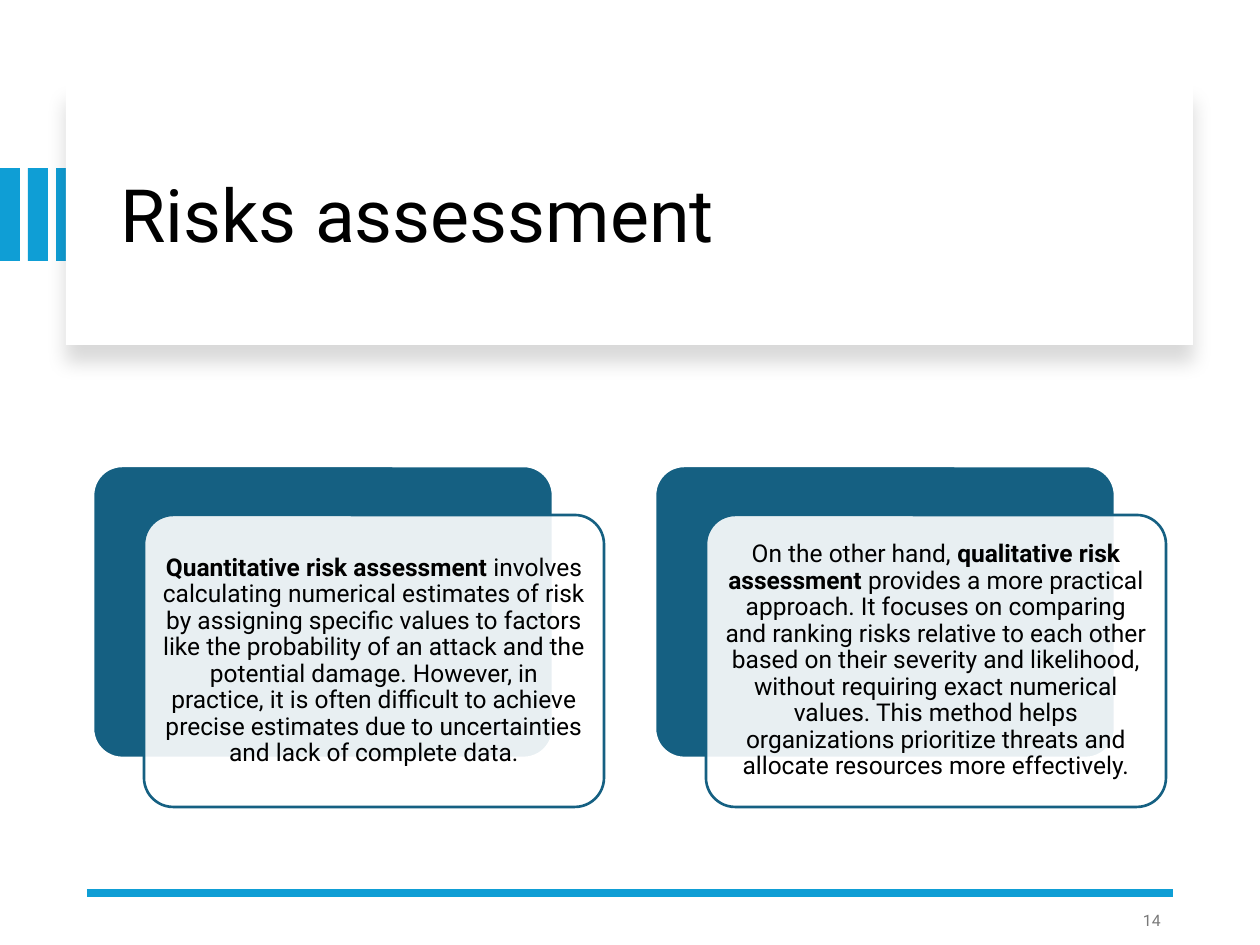
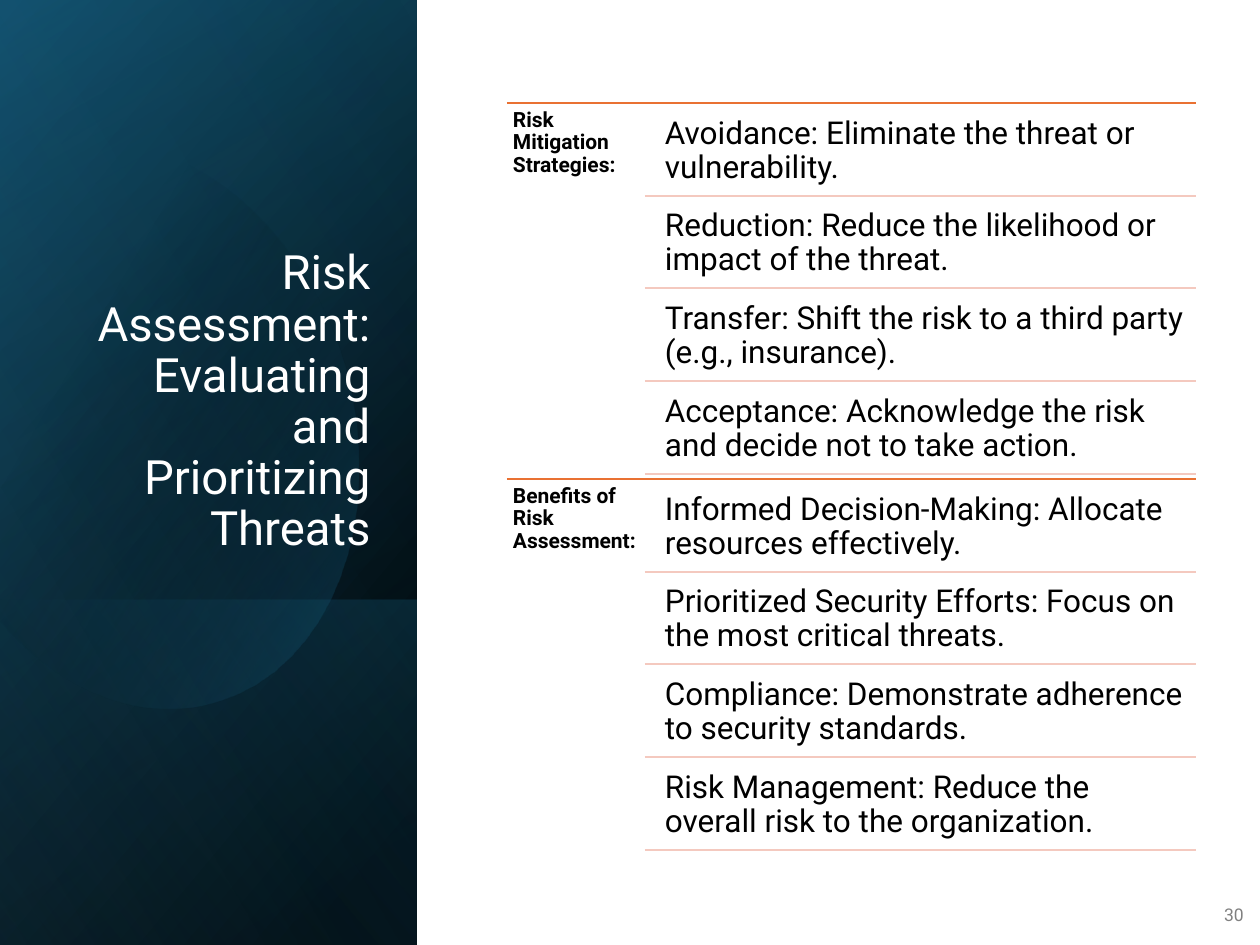
from lxml import etree
from pptx import Presentation
from pptx.dml.color import RGBColor
from pptx.enum.shapes import MSO_CONNECTOR, MSO_SHAPE
from pptx.enum.text import MSO_ANCHOR, PP_ALIGN
from pptx.oxml import parse_xml
from pptx.oxml.ns import nsdecls, qn
from pptx.util import Pt

RECT, ROUND = MSO_SHAPE.RECTANGLE, MSO_SHAPE.ROUNDED_RECTANGLE
STRAIGHT = MSO_CONNECTOR.STRAIGHT
TOP, MID, LOW = MSO_ANCHOR.TOP, MSO_ANCHOR.MIDDLE, MSO_ANCHOR.BOTTOM
LEFT, MIDST, RIGHT = PP_ALIGN.LEFT, PP_ALIGN.CENTER, PP_ALIGN.RIGHT

SCALE = 914400 / 126
WIDE, HIGH = 1260, 945
FONT = "Roboto"
BLACK, WHITE = "000000", "FFFFFF"
BLUE, TEAL = "0F9ED5", "156082"
ORANGE, PINK = "E97132", "F4C9BF"

HEAD = {"size": 42}
SIDE = {"size": 27, "color": WHITE}
CARD = {"size": 14}
LABEL = {"size": 12, "bold": True}
ITEM = {"size": 18}

CARDS = [
    [("Quantitative risk assessment", True),
     (" involves calculating numerical estimates of risk by assigning specific "
      "values to factors like the probability of an attack and the potential "
      "damage. However, in practice, it is often difficult to achieve precise "
      "estimates due to uncertainties and lack of complete data.", False)],
    [("On the other hand, ", False),
     ("qualitative risk assessment", True),
     (" provides a more practical approach. It focuses on comparing and ranking "
      "risks relative to each other based on their severity and likelihood, "
      "without requiring exact numerical values. This method helps organizations "
      "prioritize threats and allocate resources more effectively.", False)],
]
GROUPS = [
    ("Risk Mitigation Strategies:", [
        "Avoidance: Eliminate the threat or vulnerability.",
        "Reduction: Reduce the likelihood or impact of the threat.",
        "Transfer: Shift the risk to a third party (e.g., insurance).",
        "Acceptance: Acknowledge the risk and decide not to take action."]),
    ("Benefits of Risk Assessment:", [
        "Informed Decision-Making: Allocate resources effectively.",
        "Prioritized Security Efforts: Focus on the most critical threats.",
        "Compliance: Demonstrate adherence to security standards.",
        "Risk Management: Reduce the overall risk to the organization."]),
]

# Each gradient: angle, then stops of position, colour and opacity in percent.
BASE = (50, [(8, BLACK, 100), (100, "104862", 100)])
VEIL = (30, [(0, BLACK, 0), (99, TEAL, 46)])
FOOT = (130, [(2, TEAL, 29), (100, BLACK, 30)])
GLOW = (120, [(0, BLACK, 0), (99, "46B1E1", 11)])
DISC = (30, [(29, BLACK, 0), (100, TEAL, 43)])
CURVES = [
    [(121, 144), (215, 154), (307, 242), (344, 365)],
    [(344, 365), (387, 519), (330, 669), (215, 702)],
    [(215, 702), (144, 723), (67, 693), (9, 630)],
    [(0, 620), (0, 500), (0, 300), (0, 176)],
    [(0, 176), (16, 164), (34, 154), (57, 149)],
    [(57, 149), (79, 142), (100, 141), (121, 144)],
]


def px(n):
    return round(n * SCALE)


def emu(box):
    return [px(n) for n in box]


def rgb(code):
    return RGBColor.from_string(code)


def shape(slide, box, fill, kind=RECT, line=None, clear=None):
    item = slide.shapes.add_shape(kind, *emu(box))
    item.shadow.inherit = False
    item.fill.solid()
    item.fill.fore_color.rgb = rgb(fill)
    if clear:
        tint = item.element.spPr.find(qn("a:solidFill"))[0]
        etree.SubElement(tint, qn("a:alpha"), val=str(clear * 1000))
    if line:
        item.line.color.rgb = rgb(line)
        item.line.width = Pt(1.5)
    else:
        item.line.fill.background()
    return item


def rule(slide, start, end, y, color, width):
    item = slide.shapes.add_connector(STRAIGHT, *emu((start, y, end, y)))
    item.line.color.rgb = rgb(color)
    item.line.width = Pt(width)
    etree.SubElement(item.element.spPr, qn("a:effectLst"))


def write(item, runs, form, align=LEFT, anchor=TOP, inset=None, space=0.9):
    """Fill a shape with one paragraph of (text, bold) runs."""
    frame = item.text_frame
    setup = {"word_wrap": True, "vertical_anchor": anchor}
    if inset is not None:
        for side in ("left", "right", "top", "bottom"):
            setup["margin_" + side] = px(inset)
    for name, value in setup.items():
        setattr(frame, name, value)
    para = frame.paragraphs[0]
    para.alignment, para.line_spacing = align, space
    for text, bold in runs:
        run = para.add_run()
        run.text = text
        look = {"name": FONT, "bold": bold, **form}
        look["size"] = Pt(form["size"])
        color = look.pop("color", BLACK)
        for name, value in look.items():
            setattr(run.font, name, value)
        run.font.color.rgb = rgb(color)


def label(slide, box, text, form, **opts):
    write(slide.shapes.add_textbox(*emu(box)), [(text, False)], form, **opts)


def title(slide, box, text, form, **opts):
    item = slide.shapes.title
    item.element.getparent().append(item.element)  # bring to the front
    for name, value in zip(("left", "top", "width", "height"), emu(box)):
        setattr(item, name, value)
    write(item, [(text, False)], form, **opts)


def number(slide, box, text, size, color):
    label(slide, box, text, {"size": size, "color": color},
          align=RIGHT, anchor=MID, space=1.0)


def blend(item, grad):
    """Replace the fill of a shape with a gradient that may be transparent."""
    angle, stops = grad
    marks = "".join(
        f'<a:gs pos="{pos * 1000}"><a:srgbClr val="{color}">'
        f'<a:alpha val="{alpha * 1000}"/></a:srgbClr></a:gs>'
        for pos, color, alpha in stops)
    fill = parse_xml(
        f'<a:gradFill {nsdecls("a")} rotWithShape="1"><a:gsLst>{marks}</a:gsLst>'
        f'<a:lin ang="{angle * 60000}" scaled="0"/></a:gradFill>')
    props = item.element.spPr
    props.replace(props.find(qn("a:solidFill")), fill)


def layer(slide, box, grad):
    """Cover a box with a mirrored rectangle turned by 90 degrees."""
    x, y, w, h = box
    item = shape(slide, (x + (w - h) / 2, y + (h - w) / 2, h, w), WHITE)
    item.rotation = 90
    item.element.spPr.find(qn("a:xfrm")).set("flipH", "1")
    blend(item, grad)


def bezier(curve, steps=16):
    for i in range(steps + 1):
        t = i / steps
        u = 1 - t
        parts = (u ** 3, 3 * u * u * t, 3 * u * t * t, t ** 3)
        yield tuple(px(sum(k * p[axis] for k, p in zip(parts, curve)))
                    for axis in (0, 1))


def disc(slide):
    dots = [dot for curve in CURVES for dot in bezier(curve)]
    form = slide.shapes.build_freeform(*dots[0], scale=1.0)
    form.add_line_segments(dots[1:], close=True)
    item = form.convert_to_shape()
    item.shadow.inherit = False
    item.fill.solid()
    item.line.fill.background()
    blend(item, DISC)


def banner(slide, box, text):
    x, y, w, h = box
    for i in range(3):
        shape(slide, (28 * i, y + 84, 20, 93), BLUE)
    item = shape(slide, box, WHITE)
    effects = item.element.spPr.find(qn("a:effectLst"))
    effects.append(parse_xml(
        f'<a:outerShdw {nsdecls("a")} blurRad="{Pt(11)}" dist="{Pt(10)}" '
        'dir="5400000" algn="t" rotWithShape="0"><a:srgbClr val="000000">'
        '<a:alpha val="15000"/></a:srgbClr></a:outerShdw>'))
    title(slide, (x + 42, y + 28, w - 77, h - 47), text, HEAD, anchor=MID)


def card(slide, box, runs):
    x, y, w, h = box
    back = shape(slide, box, TEAL, ROUND, WHITE)
    front = shape(slide, (x + 51, y + 49, w, h), WHITE, ROUND, TEAL, 90)
    for item in (back, front):
        item.adjustments[0] = 0.1
    write(front, runs, CARD, align=MIDST, anchor=MID, inset=8)


def panel(slide, box, text):
    x, y, w, h = box
    layer(slide, box, BASE)
    layer(slide, box, VEIL)
    layer(slide, (x, y + 600, w, h - 600), FOOT)
    disc(slide)
    layer(slide, box, GLOW)
    title(slide, (x + 60, y + 232, w - 94, 330), text, SIDE,
          align=RIGHT, anchor=LOW)


def group(slide, box, name, items):
    x, y, w, h = box
    rule(slide, x, x + w, y, ORANGE, 1)
    label(slide, (x, y, 137, h), name, LABEL, inset=6)
    for i, text in enumerate(items):
        top = y + 5 + 371 * i // 4
        label(slide, (x + 149, top, w - 149, 88), text, ITEM, inset=9)
        rule(slide, x + 138, x + w, top + 88, PINK, 1.5)


def compare(slide):
    banner(slide, (66, 84, 1127, 261), "Risks assessment")
    rule(slide, 87, 1173, 893, BLUE, 4.5)
    number(slide, (890, 895, 283, 50), "14", 9, "797979")
    for i, runs in enumerate(CARDS):
        card(slide, (93 + 562 * i, 466, 460, 292), runs)


def outline(slide):
    panel(slide, (0, 0, 417, HIGH),
          "Risk Assessment: Evaluating and Prioritizing Threats")
    number(slide, (1210, 890, 46, 50), "30", 10, "808080")
    for i, (name, items) in enumerate(GROUPS):
        group(slide, (507, 103 + 376 * i, 689, 375), name, items)


def main():
    deck = Presentation()
    deck.slide_width, deck.slide_height = px(WIDE), px(HIGH)
    for build in (compare, outline):
        build(deck.slides.add_slide(deck.slide_layouts[5]))
    deck.save("out.pptx")


if __name__ == "__main__":
    main()
